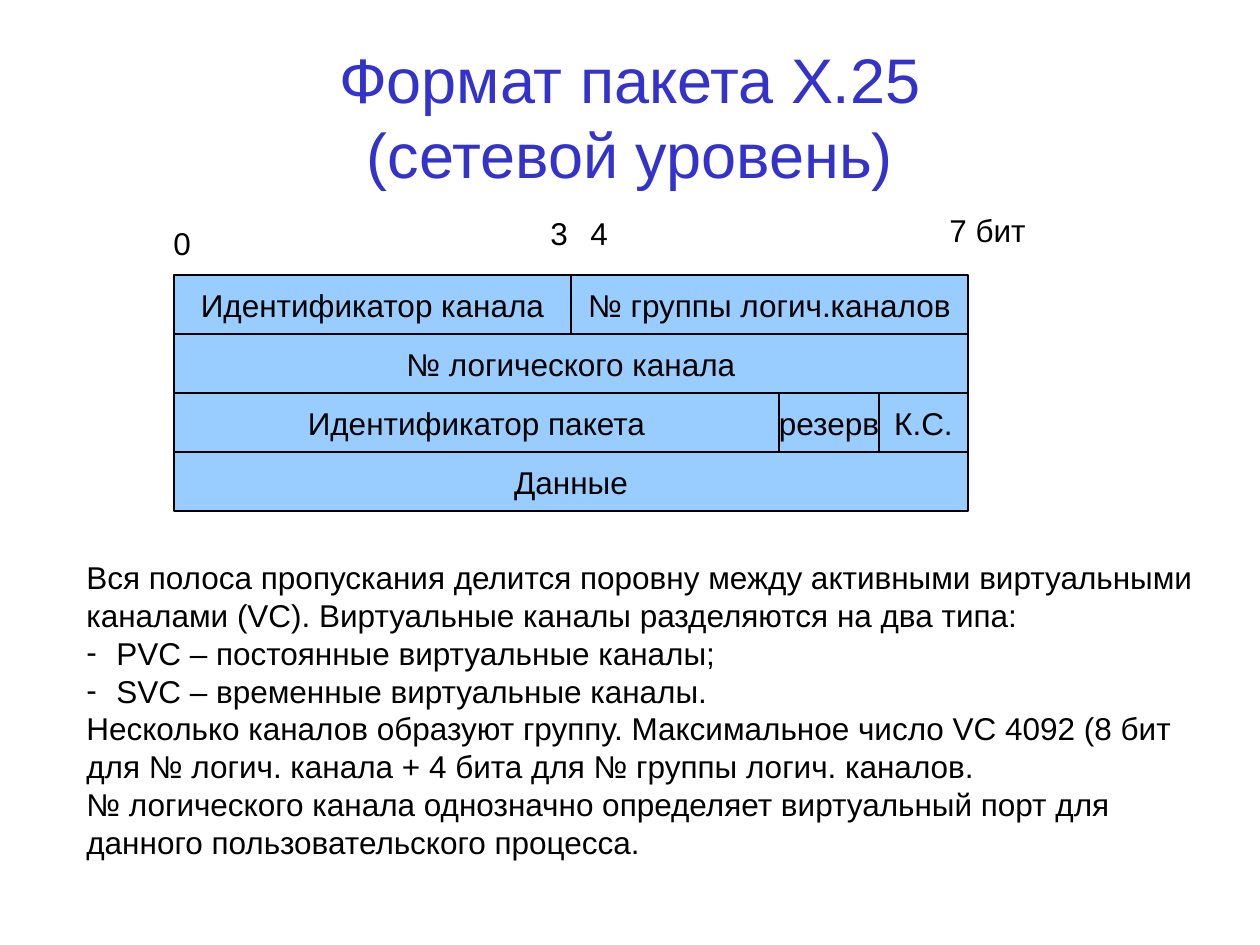
from pptx import Presentation
from pptx.dml.color import RGBColor
from pptx.enum.shapes import MSO_SHAPE
from pptx.enum.text import MSO_ANCHOR, MSO_AUTO_SIZE, PP_ALIGN
from pptx.util import Pt
from lxml.etree import SubElement
from pptx.oxml.ns import qn

BLACK = RGBColor(0, 0, 0)
BLUE = RGBColor(0x33, 0x33, 0xCC)
LIGHT_BLUE = RGBColor(0x99, 0xCC, 0xFF)

LEFT, TOP, ROW_H = 174, 275, 59
PACKET_ROWS = [
    [("Идентификатор канала", 397), ("№ группы логич.каналов", 397)],
    [("№ логического канала", 794)],
    [("Идентификатор пакета", 605), ("резерв", 100), ("К.С.", 89)],
    [("Данные", 794)],
]
BIT_LABELS = [("0", 161, 218, 43), ("3", 538, 208, 43),
              ("4", 578, 208, 43), ("7 бит", 937, 205, 106)]
NOTES = [
    ("Вся полоса пропускания делится поровну между активными виртуальными", False),
    ("каналами (VC). Виртуальные каналы разделяются на два типа:", False),
    ("PVC – постоянные виртуальные каналы;", True),
    ("SVC – временные виртуальные каналы.", True),
    ("Несколько каналов образуют группу. Максимальное число VC 4092 (8 бит", False),
    ("для № логич. канала + 4 бита для № группы логич. каналов.", False),
    ("№ логического канала однозначно определяет виртуальный порт для", False),
    ("данного пользовательского процесса.", False),
]


class Deck:
    font = "Arial"
    size = 18

    def __init__(self):
        self.prs = Presentation()
        self.prs.slide_width = self.px(1260)
        self.prs.slide_height = self.px(945)
        self.s = self.prs.slides.add_slide(self.prs.slide_layouts[5])

    @staticmethod
    def px(n):
        return round(n * 914400 / 126)

    def box(self, *lengths):
        return [self.px(n) for n in lengths]

    def run(self, p, text, size=size, color=BLACK):
        r = p.add_run()
        r.text = text
        r.font.name = self.font
        r.font.size = Pt(size)
        r.font.color.rgb = color

    def title(self, lines, x, y, w, h):
        sp = self.s.shapes.title
        sp.left, sp.top, sp.width, sp.height = self.box(x, y, w, h)
        tf = sp.text_frame
        tf.auto_size = MSO_AUTO_SIZE.NONE
        tf.vertical_anchor = MSO_ANCHOR.MIDDLE
        p = tf.paragraphs[0]
        p.alignment = PP_ALIGN.CENTER
        for i, line in enumerate(lines):
            if i:
                p.add_line_break()
            self.run(p, line, 36, BLUE)

    def field(self, text, x, y, w, h):
        sp = self.s.shapes.add_shape(MSO_SHAPE.RECTANGLE, *self.box(x, y, w, h))
        sp.shadow.inherit = False
        sp.fill.solid()
        sp.fill.fore_color.rgb = LIGHT_BLUE
        sp.line.color.rgb = BLACK
        sp.line.width = Pt(0.75)
        tf = sp.text_frame
        tf.word_wrap = False
        tf.vertical_anchor = MSO_ANCHOR.MIDDLE
        p = tf.paragraphs[0]
        p.alignment = PP_ALIGN.CENTER
        self.run(p, text)

    def text(self, lines, x, y, w, h):
        tf = self.s.shapes.add_textbox(*self.box(x, y, w, h)).text_frame
        tf.word_wrap = False
        tf.auto_size = MSO_AUTO_SIZE.SHAPE_TO_FIT_TEXT
        for i, (line, bulleted) in enumerate(lines):
            p = tf.add_paragraph() if i else tf.paragraphs[0]
            if bulleted:
                self.bullet(p)
            self.run(p, line)

    def bullet(self, p):
        pPr = p._p.get_or_add_pPr()
        pPr.set("marL", str(self.px(30)))
        pPr.set("indent", str(self.px(-30)))
        SubElement(pPr, qn("a:buFont")).set("typeface", self.font)
        SubElement(pPr, qn("a:buChar")).set("char", "-")


def main():
    deck = Deck()
    deck.title(["Формат пакета X.25", "(сетевой уровень)"], 63, 34, 1134, 164)
    for i, row in enumerate(PACKET_ROWS):
        x = LEFT
        for name, w in row:
            deck.field(name, x, TOP + i * ROW_H, w, ROW_H)
            x += w
    for label, x, y, w in BIT_LABELS:
        deck.text([(label, False)], x, y, w, 50)
    deck.text(NOTES, 74, 552, 1136, 315)
    deck.prs.save("out.pptx")


if __name__ == "__main__":
    main()
